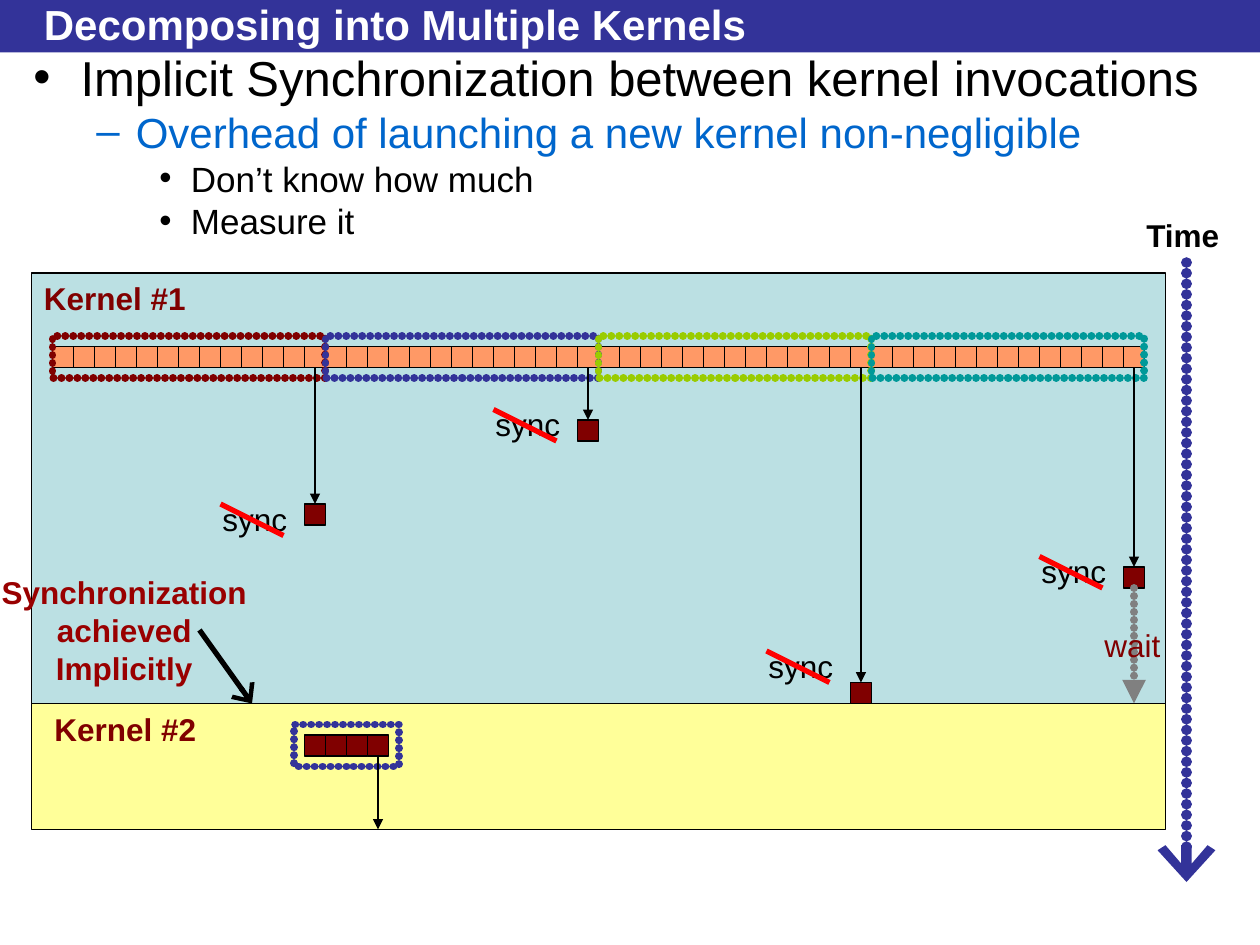
from lxml import etree
from pptx import Presentation
from pptx import util as u
from pptx.dml.color import RGBColor
from pptx.enum import shapes, text
from pptx.oxml import ns

Pt = u.Pt
BLACK = RGBColor(0x00, 0x00, 0x00)
WHITE = RGBColor(0xFF, 0xFF, 0xFF)
NAVY = RGBColor(0x33, 0x33, 0x99)
BLUE = RGBColor(0x00, 0x66, 0xCC)
MAROON = RGBColor(0x80, 0x00, 0x00)
CRIMSON = RGBColor(0x99, 0x00, 0x00)
RED = RGBColor(0xFF, 0x00, 0x00)
GREY = RGBColor(0x80, 0x80, 0x80)
LIME = RGBColor(0x99, 0xCC, 0x00)
TEAL = RGBColor(0x00, 0x99, 0x99)
ORANGE = RGBColor(0xFF, 0x99, 0x66)
YELLOW = RGBColor(0xFF, 0xFF, 0x99)
PALE_BLUE = RGBColor(0xBB, 0xE0, 0xE3)

CELL = 12
ROW_LEFT = 30
ROW_TOP = 198
BLOCK_CELLS = 13
BLOCK_WIDTH = BLOCK_CELLS * CELL
HEAD_WIDTHS = {"triangle": "med", "arrow": "lg"}

deck = Presentation()
deck.slide_width, deck.slide_height = Pt(720), Pt(540)
page = deck.slides.add_slide(deck.slide_layouts[6])


def add_figure(kind, place, fill=None, color=BLACK, width=0.75, dotted=False, head=None):
    lengths = [Pt(value) for value in place]
    if kind == "line":
        figure = page.shapes.add_connector(shapes.MSO_CONNECTOR.STRAIGHT, *lengths)
        etree.SubElement(figure._element.spPr, ns.qn("a:effectLst"))
    else:
        figure = page.shapes.add_shape(shapes.MSO_SHAPE.RECTANGLE, *lengths)
        figure.shadow.inherit = False
        if fill is None:
            figure.fill.background()
        else:
            figure.fill.solid()
            figure.fill.fore_color.rgb = fill
    if color is None:
        figure.line.fill.background()
        return figure
    figure.line.color.rgb = color
    figure.line.width = Pt(width)
    outline = figure.line._get_or_add_ln()
    if dotted:
        outline.set("cap", "rnd")
        dashes = etree.SubElement(outline, ns.qn("a:custDash"))
        etree.SubElement(dashes, ns.qn("a:ds"), d="100000", sp="1000")
    if head:
        etree.SubElement(outline, ns.qn("a:tailEnd"), type=head, w=HEAD_WIDTHS[head])
    return figure


def add_words(words, place, color, size=18, bold=False, wrap=False, align=text.PP_ALIGN.LEFT):
    box = page.shapes.add_textbox(*[Pt(value) for value in place])
    box.text_frame.text = words
    box.text_frame.word_wrap = wrap
    if not wrap:
        box.text_frame.auto_size = text.MSO_AUTO_SIZE.SHAPE_TO_FIT_TEXT
    for para in box.text_frame.paragraphs:
        para.alignment = align
        for span in para.runs:
            for name, value in {"name": "Arial", "size": Pt(size), "bold": bold}.items():
                setattr(span.font, name, value)
            span.font.color.rgb = color
    return box


add_figure("box", (0, 0, 720, 30), NAVY, None)
add_figure("box", (18, 402, 648, 72), YELLOW)
add_figure("box", (18, 156, 648, 246), PALE_BLUE)

title = add_words("Decomposing into Multiple Kernels", (18, 3.5, 666, 20), WHITE, 24, True, True)
title.text_frame.vertical_anchor = text.MSO_ANCHOR.MIDDLE

outline_rows = [
    ("Implicit Synchronization between kernel invocations", 28, BLACK, "•", 27, 27, 0),
    ("Overhead of launching a new kernel non-negligible", 24, BLUE, "–", 58.5, 22.5, 6),
    ("Don’t know how much", 20, BLACK, "•", 90, 18, 5),
    ("Measure it", 20, BLACK, "•", 90, 18, 5),
]
body = add_words("\n".join(row[0] for row in outline_rows), (12, 30, 708, 114), BLACK, wrap=True)
for level, (para, row) in enumerate(zip(body.text_frame.paragraphs, outline_rows)):
    words, size, color, bullet, margin, hanging, gap = row
    for name, value in {"level": min(level, 2), "line_spacing": 0.8, "space_before": Pt(gap)}.items():
        setattr(para, name, value)
    properties = para._p.get_or_add_pPr()
    properties.set("marL", str(Pt(margin)))
    properties.set("indent", str(-Pt(hanging)))
    bullet_color = etree.SubElement(properties, ns.qn("a:buClr"))
    etree.SubElement(bullet_color, ns.qn("a:srgbClr"), val=str(color))
    etree.SubElement(properties, ns.qn("a:buFont"), typeface="Arial")
    etree.SubElement(properties, ns.qn("a:buChar"), char=bullet)
    para.runs[0].font.size = Pt(size)
    para.runs[0].font.color.rgb = color

blocks = [(MAROON, 288, 282), (NAVY, 240, 228), (LIME, 390, 366), (TEAL, 324, 312)]
cells = [
    add_figure("box", (ROW_LEFT + index * CELL, ROW_TOP, CELL, CELL), ORANGE)
    for index in range(len(blocks) * BLOCK_CELLS)
]
for index, (color, top, sync_top) in enumerate(blocks):
    add_figure("box", (ROW_LEFT + index * BLOCK_WIDTH, 192, BLOCK_WIDTH, 24), None, color, 4.5, True)

for index, (color, top, sync_top) in enumerate(blocks):
    last_cell = cells[(index + 1) * BLOCK_CELLS - 1]
    left = ROW_LEFT + (index + 1) * BLOCK_WIDTH - CELL
    middle = left + CELL / 2
    result = add_figure("box", (left, top, CELL, CELL), MAROON)
    arrow = add_figure("line", (middle, ROW_TOP + CELL, middle, top), head="triangle")
    arrow.begin_connect(last_cell, 2)
    arrow.end_connect(result, 0)
    add_words("sync", (left - 54, sync_top, 53, 29), BLACK)
    add_figure("line", (left - 48, sync_top + 6, left - 12, sync_top + 24), color=RED, width=3)

wait = add_figure("line", (middle, top + CELL, middle, 402), color=GREY, width=4.5, dotted=True, head="triangle")
wait.begin_connect(result, 2)
add_words("wait", (624, 354, 48, 29), MAROON)

add_figure("line", (678, 150, 678, 504), color=NAVY, width=6, dotted=True, head="arrow")
add_words("Time", (648, 120, 58, 29), BLACK, bold=True)
add_figure("line", (60, 402, 660, 402))

partial_sums = [add_figure("box", (174 + index * CELL, 420, CELL, CELL), MAROON) for index in range(4)]
add_figure("box", (168, 414, 60, 24), None, NAVY, 4.5, True)
output = add_figure("line", (216, 432, 216, 474), head="triangle")
output.begin_connect(partial_sums[-1], 2)

add_words("Synchronization\vachieved\nImplicitly", (-8, 324, 158, 72), CRIMSON, bold=True,
          align=text.PP_ALIGN.CENTER)
add_figure("line", (114, 360, 144, 402), color=BLACK, width=3, head="arrow")
add_words("Kernel #1", (18, 156, 98, 29), MAROON, bold=True)
add_words("Kernel #2", (24, 402, 98, 29), MAROON, bold=True)

deck.save("out.pptx")
